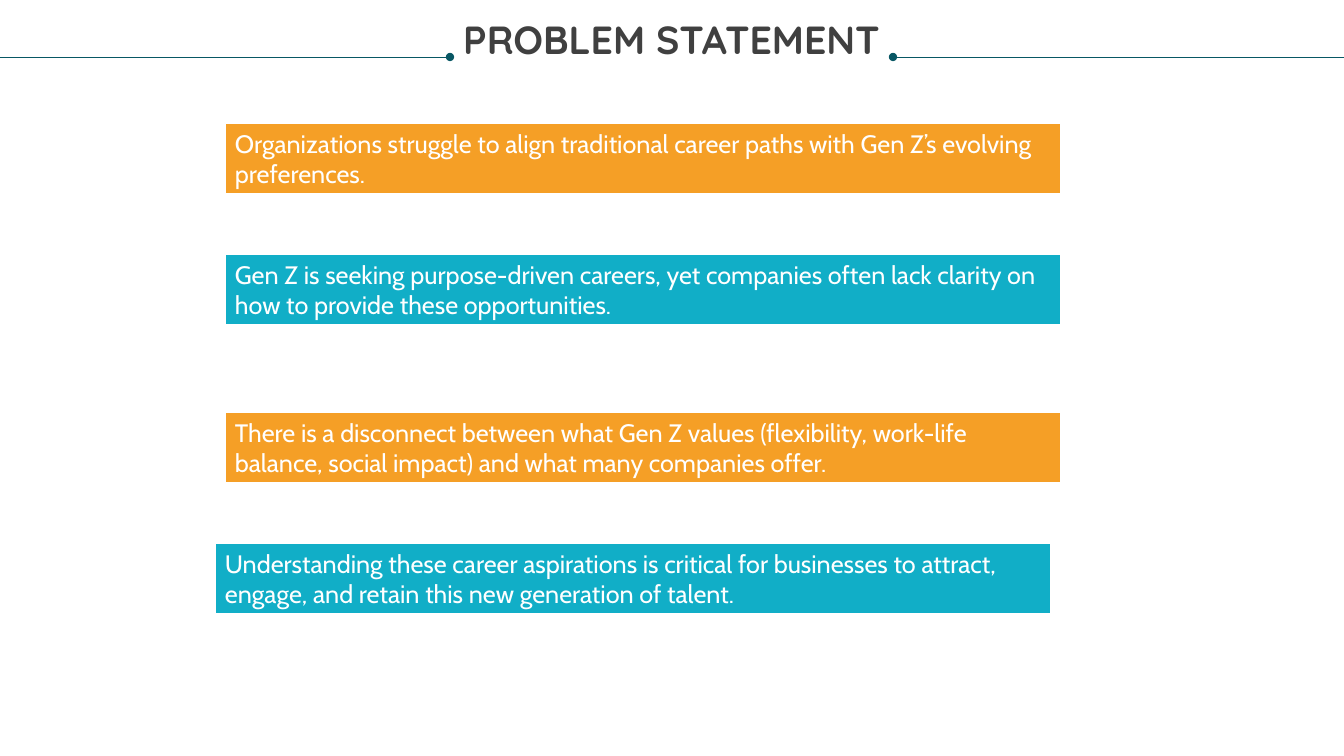
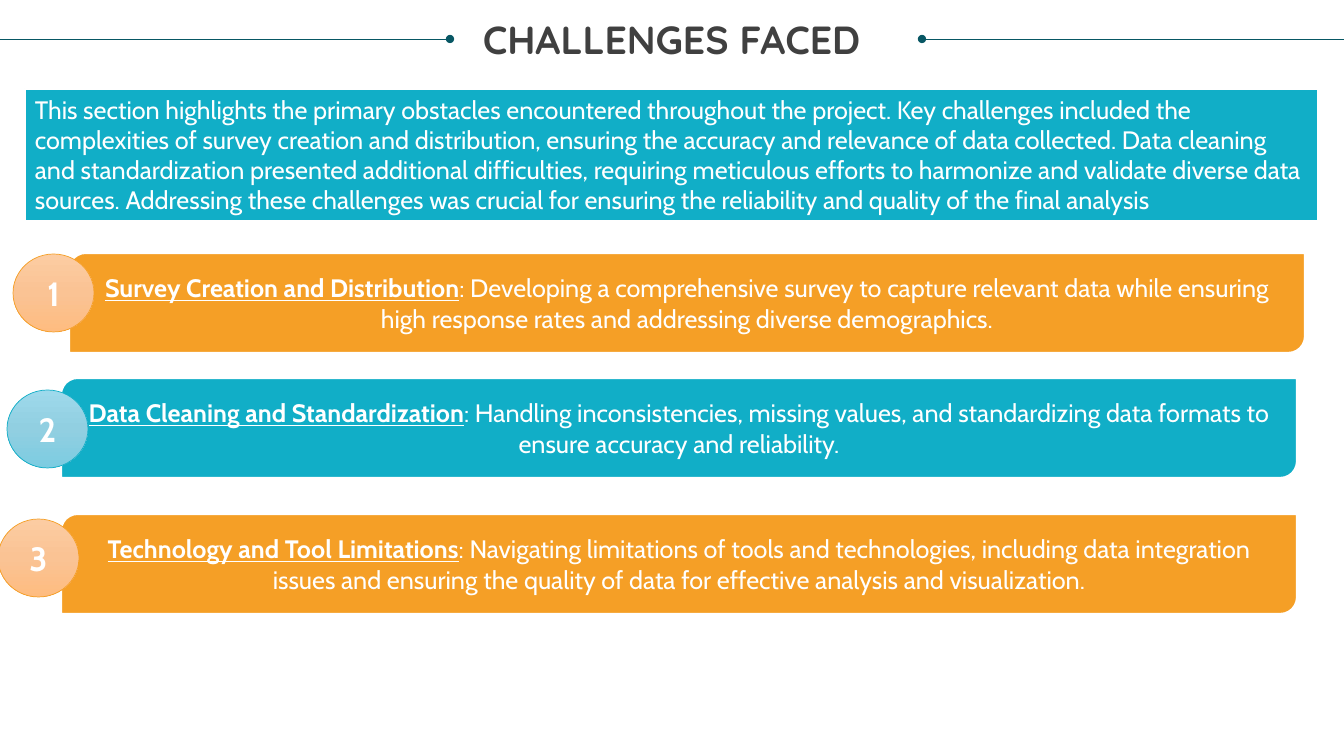
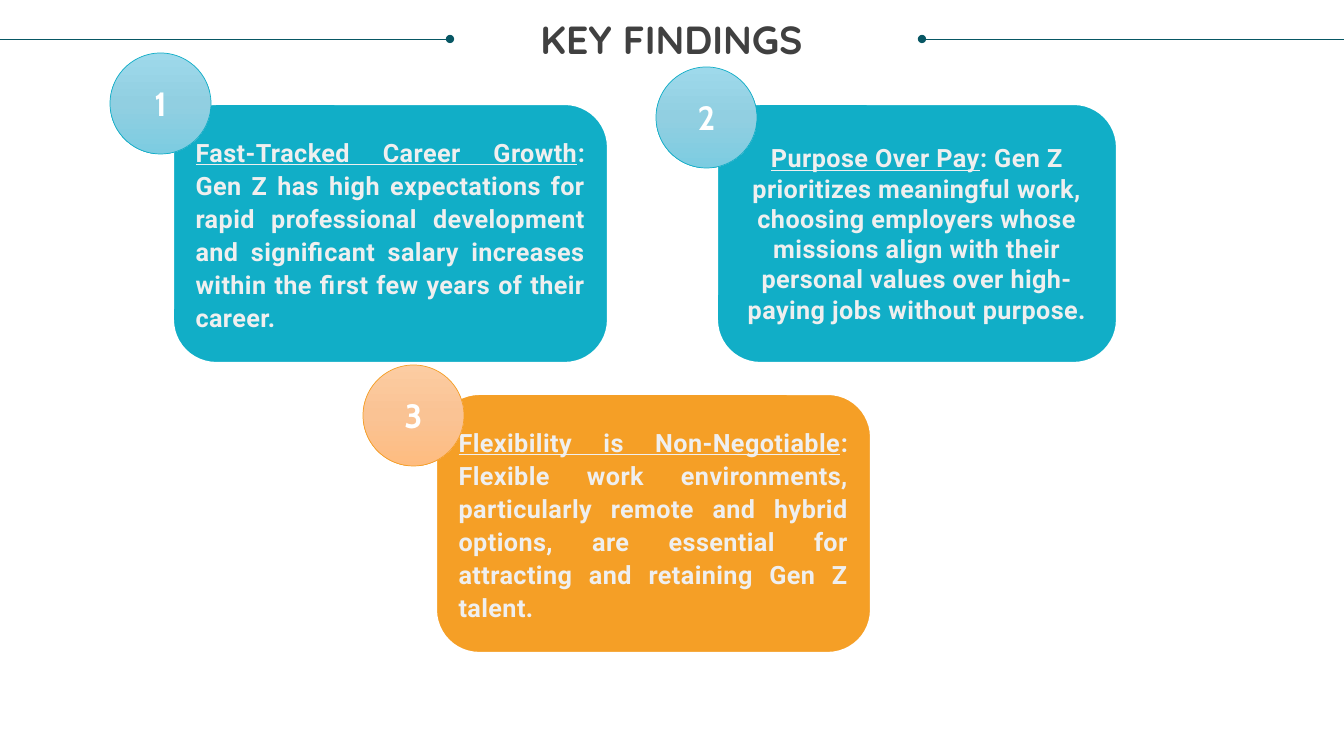
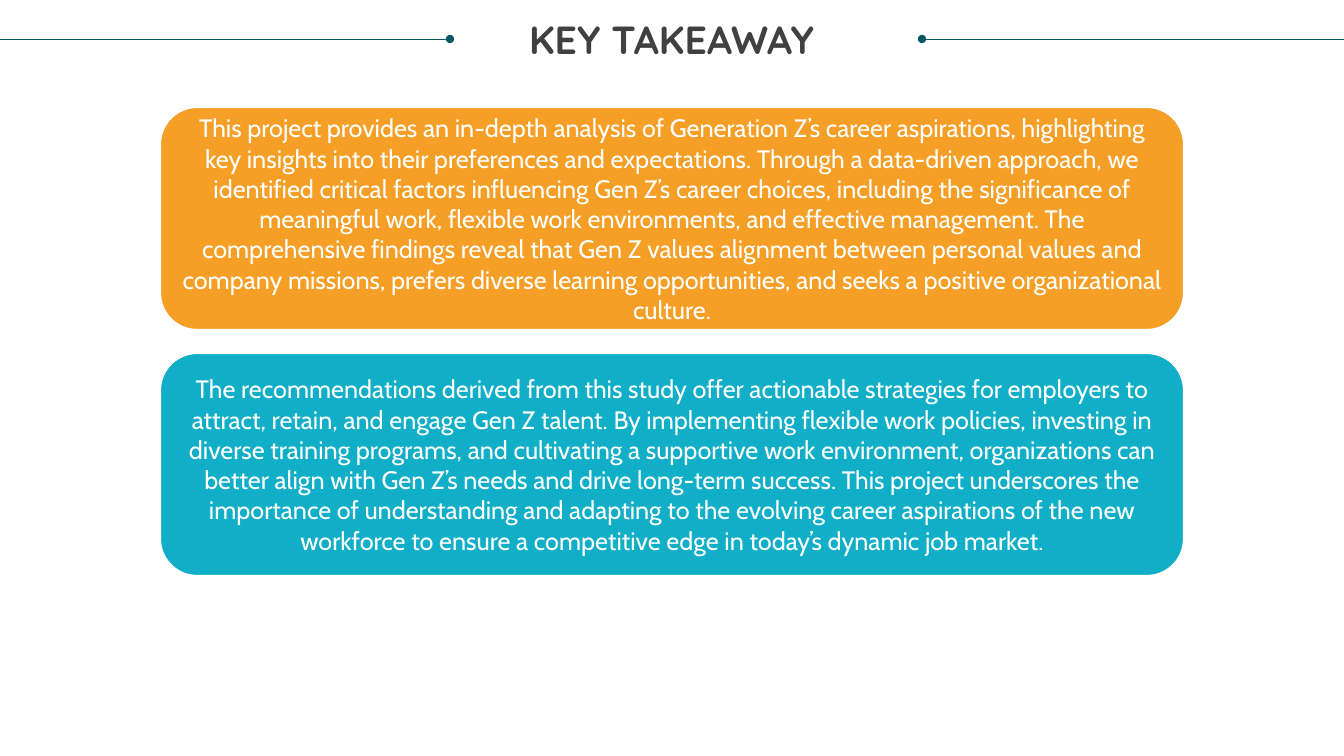
from copy import deepcopy

from lxml import etree
from pptx import Presentation
from pptx.dml.color import RGBColor
from pptx.enum.shapes import MSO_CONNECTOR, MSO_SHAPE
from pptx.enum.text import MSO_ANCHOR, PP_ALIGN
from pptx.oxml.ns import qn
from pptx.util import Pt

PX = 914400 / 100.8
PAGE_WIDTH, PAGE_HEIGHT = 1344, 756

RECTANGLE = MSO_SHAPE.RECTANGLE
ROUNDED = MSO_SHAPE.ROUNDED_RECTANGLE
DIAGONAL = MSO_SHAPE.ROUND_2_DIAG_RECTANGLE
OVAL = MSO_SHAPE.OVAL
STRAIGHT = MSO_CONNECTOR.STRAIGHT
LEFT, CENTER, JUSTIFY = PP_ALIGN.LEFT, PP_ALIGN.CENTER, PP_ALIGN.JUSTIFY
TOP, MIDDLE = MSO_ANCHOR.TOP, MSO_ANCHOR.MIDDLE

ORANGE, TEAL, WHITE = "F59F26", "11AEC7", "FFFFFF"
PALE, DARK, RULE = "EFEFEF", "404040", "085764"
BADGE_SHADES = {
    ORANGE: ("FCCCA2", "FAC394", "FEBC80"),
    TEAL: ("9ED9EB", "91CFE1", "7CCCE1"),
}
TITLE_FONT, BODY_FONT, CARD_FONT = "Quicksand", "Cabin", "Roboto"


def emu(*lengths):
    return [round(length * PX) for length in lengths]


def rgb(color):
    return RGBColor.from_string(color)


def add_span(para, text, size=18, font=BODY_FONT, color=WHITE,
             bold=False, underline=False, spacing=0):
    """Add one run; spacing is in hundredths of a point."""
    span = para.add_run()
    span.text = text
    span.font.size = Pt(size)
    span.font.name = font
    span.font.bold = bold
    span.font.underline = underline
    span.font.color.rgb = rgb(color)
    if spacing:
        span.font._element.set("spc", str(spacing))


def add_panel(page, kind, box, color, align=CENTER, anchor=MIDDLE):
    """Add a filled shape with a white edge and return its first paragraph."""
    panel = page.shapes.add_shape(kind, *emu(*box))
    panel.shadow.inherit = False
    panel.fill.solid()
    panel.fill.fore_color.rgb = rgb(color)
    panel.line.color.rgb = rgb(WHITE)
    panel.line.width = Pt(1.5)
    panel.text_frame.word_wrap = True
    panel.text_frame.vertical_anchor = anchor
    para = panel.text_frame.paragraphs[0]
    para.alignment = align
    return para


def add_badge(page, box, number, color):
    badge = page.shapes.add_shape(OVAL, *emu(*box))
    badge.shadow.inherit = False
    badge.line.color.rgb = rgb(color)
    badge.line.width = Pt(0.5)
    badge.fill.gradient()
    badge.fill.gradient_angle = 270
    stop_list = badge._element.spPr.find(".//" + qn("a:gsLst"))
    stop_list.append(deepcopy(stop_list[-1]))
    for index, shade in enumerate(BADGE_SHADES[color]):
        stop = badge.fill.gradient_stops[index]
        stop.position = index / 2
        stop.color.rgb = rgb(shade)
    badge.text_frame.vertical_anchor = MIDDLE
    para = badge.text_frame.paragraphs[0]
    para.alignment = CENTER
    add_span(para, str(number), size=24, bold=True)


def add_rule(page, edge, dot, y):
    """Draw a line from the page edge to a round dot."""
    rule = page.shapes.add_connector(STRAIGHT, *emu(edge, y, dot, y))
    rule.line.color.rgb = rgb(RULE)
    rule.line.width = Pt(0.5)
    etree.SubElement(rule.line._get_or_add_ln(), qn("a:tailEnd"), type="oval")
    etree.SubElement(rule._element.spPr, qn("a:effectLst"))


def add_page(deck, title, rule_y=39, right_dot=922):
    page = deck.slides.add_slide(deck.slide_layouts[6])
    frame = page.shapes.add_textbox(*emu(25, 21, 1293, 86)).text_frame
    frame.word_wrap = True
    frame.margin_left = frame.margin_right = 0
    frame.margin_top = frame.margin_bottom = 0
    para = frame.paragraphs[0]
    para.alignment = CENTER
    para.line_spacing = 0.9
    add_span(para, title, size=28, font=TITLE_FONT, color=DARK, bold=True)
    add_rule(page, 0, 450, rule_y)
    add_rule(page, PAGE_WIDTH, right_dot, rule_y)
    return page


def add_banner(page, box, color, text):
    add_span(add_panel(page, RECTANGLE, box, color, LEFT, TOP), text)


def add_challenge(page, box, color, heading, text):
    para = add_panel(page, DIAGONAL, box, color)
    add_span(para, heading, bold=True, underline=True)
    add_span(para, text)


def add_finding(page, box, color, align, heading, text):
    para = add_panel(page, ROUNDED, box, color, align)
    if align == JUSTIFY:
        para.line_spacing = Pt(23.7)
    for words, underline in ((heading, True), (text, False)):
        add_span(para, words, font=CARD_FONT, color=PALE, bold=True,
                 underline=underline, spacing=30)


def build_problem(deck):
    page = add_page(deck, "PROBLEM STATEMENT", rule_y=57, right_dot=893)
    problems = [
        (225, 123, ORANGE, "Organizations struggle to align traditional career paths with "
         "Gen Z’s evolving preferences."),
        (225, 254, TEAL, "Gen Z is seeking purpose-driven careers, yet companies often lack "
         "clarity on how to provide these opportunities."),
        (225, 412, ORANGE, "There is a disconnect between what Gen Z values (flexibility, "
         "work-life balance, social impact) and what many companies offer."),
        (215, 543, TEAL, "Understanding these career aspirations is critical for businesses "
         "to attract, engage, and retain this new generation of talent."),
    ]
    for left, top, color, text in problems:
        add_banner(page, (left, top, 836, 71), color, text)


def build_challenges(deck):
    page = add_page(deck, "CHALLENGES FACED")
    add_banner(
        page, (25, 89, 1293, 132), TEAL,
        "This section highlights the primary obstacles encountered throughout the project. "
        "Key challenges included the complexities of survey creation and distribution, "
        "ensuring the accuracy and relevance of data collected. Data cleaning and "
        "standardization presented additional difficulties, requiring meticulous efforts to "
        "harmonize and validate diverse data sources. Addressing these challenges was crucial "
        "for ensuring the reliability and quality of the final analysis")
    challenges = [
        ((69, 253), (13, 254), ORANGE, "Survey Creation and Distribution",
         ": Developing a comprehensive survey to capture relevant data while ensuring high "
         "response rates and addressing diverse demographics."),
        ((61, 378), (7, 390), TEAL, "Data Cleaning and Standardization",
         ": Handling inconsistencies, missing values, and standardizing data formats to "
         "ensure accuracy and reliability."),
        ((61, 514), (-2, 519), ORANGE, "Technology and Tool Limitations",
         ": Navigating limitations of tools and technologies, including data integration "
         "issues and ensuring the quality of data for effective analysis and visualization."),
    ]
    for number, (corner, badge, color, heading, text) in enumerate(challenges, 1):
        add_challenge(page, (*corner, 1236, 100), color, heading, text)
        add_badge(page, (*badge, 81, 78), number, color)


def build_findings(deck):
    page = add_page(deck, "KEY FINDINGS")
    findings = [
        ((173, 104, 435, 259), (110, 53), TEAL, JUSTIFY, "Fast-Tracked Career Growth",
         ": Gen Z has high expectations for rapid professional development and significant "
         "salary increases within the first few years of their career."),
        ((717, 104, 400, 259), (656, 67), TEAL, CENTER, "Purpose Over Pay",
         ": Gen Z prioritizes meaningful work, choosing employers whose missions align with "
         "their personal values over high-paying jobs without purpose."),
        ((436, 394, 435, 259), (363, 365), ORANGE, JUSTIFY, "Flexibility is Non-Negotiable",
         ": Flexible work environments, particularly remote and hybrid options, are "
         "essential for attracting and retaining Gen Z talent."),
    ]
    for number, (box, badge, color, align, heading, text) in enumerate(findings, 1):
        add_finding(page, box, color, align, heading, text)
        add_badge(page, (*badge, 101, 101), number, color)


def build_takeaway(deck):
    page = add_page(deck, "KEY TAKEAWAY")
    takeaways = [
        (ORANGE, "This project provides an in-depth analysis of Generation Z’s career "
         "aspirations, highlighting key insights into their preferences and expectations. "
         "Through a data-driven approach, we identified critical factors influencing Gen Z’s "
         "career choices, including the significance of meaningful work, flexible work "
         "environments, and effective management. The comprehensive findings reveal that "
         "Gen Z values alignment between personal values and company missions, prefers "
         "diverse learning opportunities, and seeks a positive organizational culture."),
        (TEAL, "The recommendations derived from this study offer actionable strategies for "
         "employers to attract, retain, and engage Gen Z talent. By implementing flexible "
         "work policies, investing in diverse training programs, and cultivating a supportive "
         "work environment, organizations can better align with Gen Z’s needs and drive "
         "long-term success. This project underscores the importance of understanding and "
         "adapting to the evolving career aspirations of the new workforce to ensure a "
         "competitive edge in today’s dynamic job market."),
    ]
    for index, (color, text) in enumerate(takeaways):
        box = (160, 107 + index * 246, 1024, 223)
        add_span(add_panel(page, ROUNDED, box, color), text)


def main():
    deck = Presentation()
    deck.slide_width, deck.slide_height = emu(PAGE_WIDTH, PAGE_HEIGHT)
    for build in (build_problem, build_challenges, build_findings, build_takeaway):
        build(deck)
    deck.save("out.pptx")


if __name__ == "__main__":
    main()
